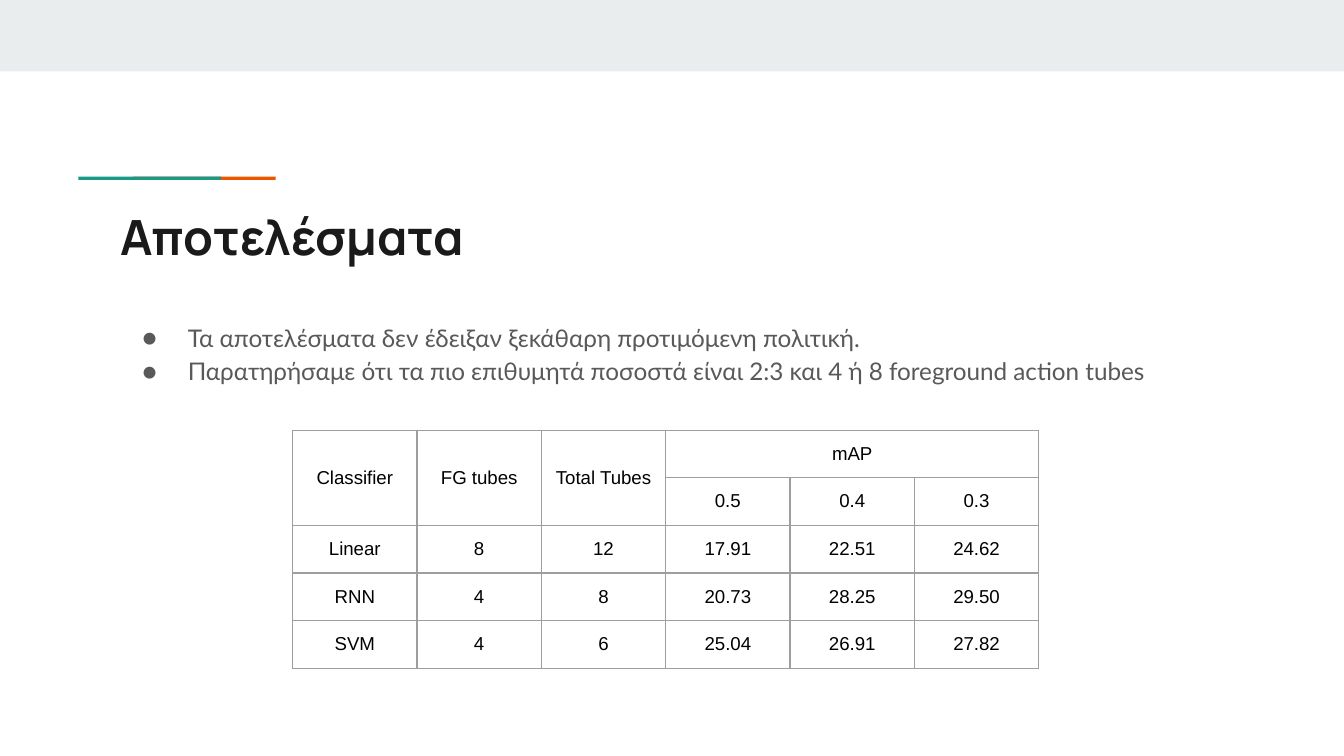
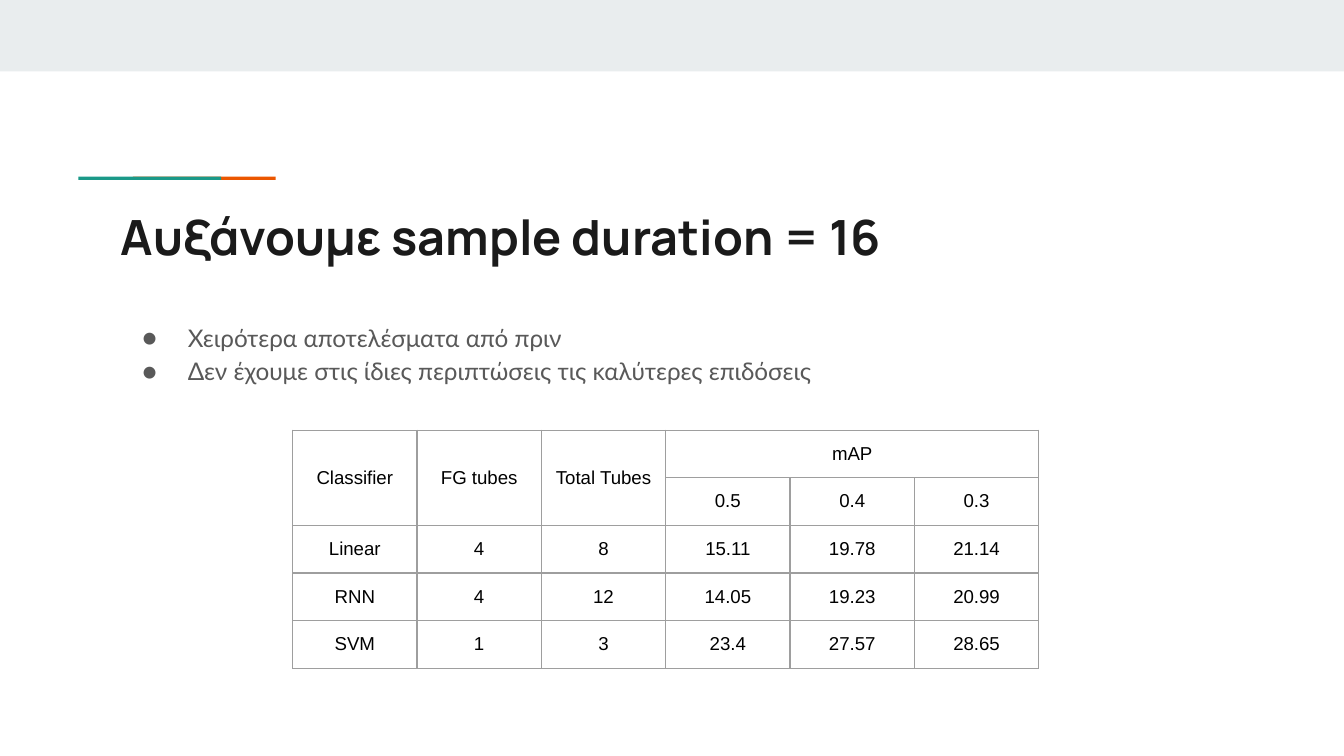
"""Builds two result slides, each with a title, two bullets and a score table."""
import pptx
import pptx.dml.color
import pptx.enum.shapes
import pptx.enum.text
import pptx.oxml
import pptx.oxml.ns
import pptx.util

Cm = pptx.util.Cm
Pt = pptx.util.Pt
ALIGN = pptx.enum.text.PP_ALIGN
ANCHOR = pptx.enum.text.MSO_ANCHOR

SLIDES = [
    {
        "title": "Αποτελέσματα",
        "bullets": [
            "Τα αποτελέσματα δεν έδειξαν ξεκάθαρη προτιμόμενη πολιτική.",
            "Παρατηρήσαμε ότι τα πιο επιθυμητά ποσοστά είναι 2:3 και 4 ή 8 foreground action tubes",
        ],
        "scores": [
            ("Linear", "8", "12", "17.91", "22.51", "24.62"),
            ("RNN", "4", "8", "20.73", "28.25", "29.50"),
            ("SVM", "4", "6", "25.04", "26.91", "27.82"),
        ],
    },
    {
        "title": "Αυξάνουμε sample duration = 16",
        "bullets": [
            "Χειρότερα αποτελέσματα από πριν",
            "Δεν έχουμε στις ίδιες περιπτώσεις τις καλύτερες επιδόσεις",
        ],
        "scores": [
            ("Linear", "4", "8", "15.11", "19.78", "21.14"),
            ("RNN", "4", "12", "14.05", "19.23", "20.99"),
            ("SVM", "1", "3", "23.4", "27.57", "28.65"),
        ],
    },
]

HEADER = [
    ("Classifier", "FG tubes", "Total Tubes", "mAP", "", ""),
    ("", "", "", "0.5", "0.4", "0.3"),
]
MERGES = [((0, 0), (1, 0)), ((0, 1), (1, 1)), ((0, 2), (1, 2)), ((0, 3), (0, 5))]

THEME = {
    "band": "E9EDEE",
    "orange": "EB5600",
    "teal": "1A9988",
    "border": "9E9E9E",
    "title": {"name": "Manrope", "size": 26, "bold": True, "color": "1A1A1A"},
    "body": {"name": "Lato", "size": 13, "bold": False, "color": "595959"},
    "cell": {"name": "Arial", "size": 10, "bold": False, "color": "000000"},
}

SLIDE_SIZE = (25.4, 14.29)
BARS = [
    ("band", (0, 0, 25.4, 1.35)),
    ("orange", (2.51, 3.34, 2.7, 0.06)),
    ("teal", (1.48, 3.34, 2.7, 0.06)),
]
TITLE_BOX = (2.03, 3.66, 21.36, 1.5)
BODY_BOX = (2.03, 5.77, 21.36, 6.27)
TABLE_CORNER = (5.53, 8.13)
COLUMN_WIDTH, ROW_HEIGHT = 2.35, 0.9
INSET = 0.25
BULLET_INDENT, BULLET_HANG = 1.27, 0.86


def set_values(target, values):
    for name, value in values.items():
        setattr(target, name, value)


def rgb(value):
    return pptx.dml.color.RGBColor.from_string(value)


def margins():
    return {f"margin_{side}": Cm(INSET) for side in ("left", "top", "right", "bottom")}


def write(paragraph, text, style):
    run = paragraph.add_run()
    run.text = text
    set_values(run.font, {"name": style["name"], "size": Pt(style["size"]), "bold": style["bold"]})
    run.font.color.rgb = rgb(style["color"])


def prepare_frame(frame):
    set_values(frame, {
        "word_wrap": True,
        "auto_size": pptx.enum.text.MSO_AUTO_SIZE.NONE,
        "vertical_anchor": ANCHOR.TOP,
        **margins(),
    })


def add_bars(slide):
    for color, box in BARS:
        bar = slide.shapes.add_shape(pptx.enum.shapes.MSO_SHAPE.RECTANGLE, *map(Cm, box))
        bar.shadow.inherit = False
        bar.fill.solid()
        bar.fill.fore_color.rgb = rgb(THEME[color])
        bar.line.fill.background()


def add_title(slide, text):
    title = slide.shapes.title
    set_values(title, dict(zip(("left", "top", "width", "height"), map(Cm, TITLE_BOX))))
    prepare_frame(title.text_frame)
    paragraph = title.text_frame.paragraphs[0]
    paragraph.alignment = ALIGN.LEFT
    write(paragraph, text, THEME["title"])


def add_bullet(paragraph):
    properties = paragraph._p.get_or_add_pPr()
    properties.set("marL", str(Cm(BULLET_INDENT)))
    properties.set("indent", str(-Cm(BULLET_HANG)))
    namespace = pptx.oxml.ns.nsdecls("a")
    for xml in (
        f'<a:buClr {namespace}><a:srgbClr val="{THEME["body"]["color"]}"/></a:buClr>',
        f'<a:buFont {namespace} typeface="{THEME["body"]["name"]}"/>',
        f'<a:buChar {namespace} char="●"/>',
    ):
        properties.append(pptx.oxml.parse_xml(xml))


def add_bullets(slide, lines):
    frame = slide.shapes.add_textbox(*map(Cm, BODY_BOX)).text_frame
    prepare_frame(frame)
    for index, line in enumerate(lines):
        paragraph = frame.add_paragraph() if index else frame.paragraphs[0]
        add_bullet(paragraph)
        set_values(paragraph, {"line_spacing": 1.15, "alignment": ALIGN.LEFT})
        write(paragraph, line, THEME["body"])


def add_borders(cell):
    properties = cell._tc.get_or_add_tcPr()
    for position, side in enumerate("LRTB"):
        properties.insert(position, pptx.oxml.parse_xml(
            f'<a:ln{side} {pptx.oxml.ns.nsdecls("a")} w="{Pt(0.75)}"><a:solidFill>'
            f'<a:srgbClr val="{THEME["border"]}"/></a:solidFill></a:ln{side}>'
        ))


def add_scores(slide, scores):
    rows = HEADER + scores
    columns = len(rows[0])
    size = (columns * COLUMN_WIDTH, len(rows) * ROW_HEIGHT)
    table = slide.shapes.add_table(len(rows), columns, *map(Cm, TABLE_CORNER + size)).table
    set_values(table, {"first_row": False, "horz_banding": False})
    for column in table.columns:
        column.width = Cm(COLUMN_WIDTH)
    for row in table.rows:
        row.height = Cm(ROW_HEIGHT)
    for row_index, row in enumerate(rows):
        for column_index, text in enumerate(row):
            cell = table.cell(row_index, column_index)
            set_values(cell, {"vertical_anchor": ANCHOR.MIDDLE, **margins()})
            cell.fill.background()
            add_borders(cell)
            if text:
                paragraph = cell.text_frame.paragraphs[0]
                paragraph.alignment = ALIGN.CENTER
                write(paragraph, text, THEME["cell"])
    for first, last in MERGES:
        table.cell(*first).merge(table.cell(*last))


def main():
    presentation = pptx.Presentation()
    presentation.slide_width, presentation.slide_height = map(Cm, SLIDE_SIZE)
    for content in SLIDES:
        slide = presentation.slides.add_slide(presentation.slide_layouts[5])
        add_bars(slide)
        add_title(slide, content["title"])
        add_bullets(slide, content["bullets"])
        add_scores(slide, content["scores"])
    presentation.save("out.pptx")


if __name__ == "__main__":
    main()
